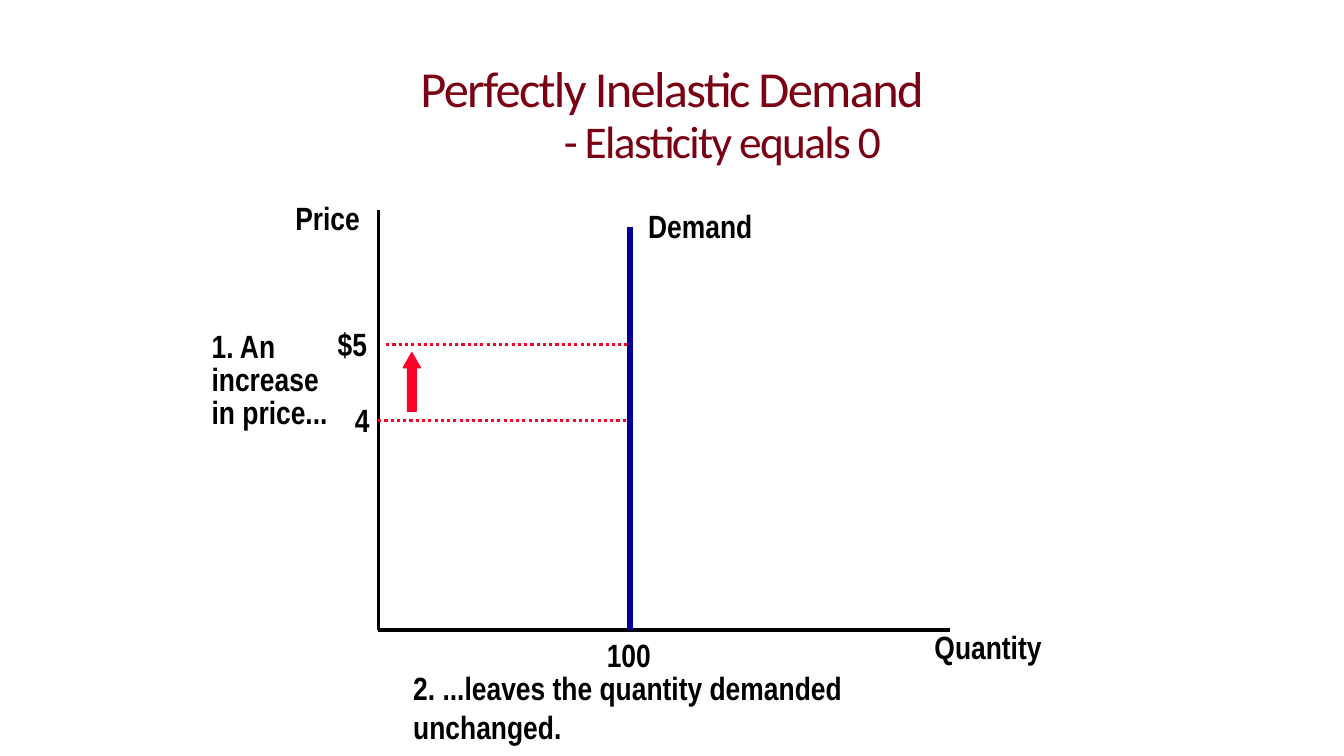
from lxml import etree
from pptx import Presentation
from pptx.dml.color import RGBColor
from pptx.enum.dml import MSO_LINE
from pptx.enum.shapes import MSO_CONNECTOR, MSO_SHAPE
from pptx.enum.text import MSO_ANCHOR, PP_ALIGN
from pptx.oxml.ns import qn
from pptx.util import Inches, Pt

BLACK = RGBColor(0x00, 0x00, 0x00)
MAROON = RGBColor(0x7A, 0x00, 0x14)
RED = RGBColor(0xFC, 0x01, 0x28)
NAVY = RGBColor(0x00, 0x00, 0x99)
STRAIGHT = MSO_CONNECTOR.STRAIGHT
DOTTED = MSO_LINE.ROUND_DOT  # stored as sysDot

# Chart geometry in inches
AXIS_X, AXIS_Y = 3.75, 6.25
DEMAND_X = 6.25

presentation = Presentation()
presentation.slide_width = Inches(13.33)
presentation.slide_height = Inches(7.5)
slide = presentation.slides.add_slide(presentation.slide_layouts[6])


def add_label(text, left, top, width, height, line_spacing=None):
    label = slide.shapes.add_textbox(
        Inches(left), Inches(top), Inches(width), Inches(height))
    frame = label.text_frame
    frame.word_wrap = False
    frame.margin_right = 0  # keeps each label on one line
    frame.text = text
    for paragraph in frame.paragraphs:
        paragraph.line_spacing = line_spacing
        for run in paragraph.runs:
            run.font.name = "Arial Narrow"
            run.font.size = Pt(23)
            run.font.bold = True
            run.font.color.rgb = BLACK
    return label


def add_line(start_x, start_y, end_x, end_y, color, weight, dash=None):
    connector = slide.shapes.add_connector(
        STRAIGHT, Inches(start_x), Inches(start_y), Inches(end_x), Inches(end_y))
    connector.line.color.rgb = color
    connector.line.width = Pt(weight)
    if dash is not None:
        connector.line.dash_style = dash
    etree.SubElement(connector.element.spPr, qn("a:effectLst"))


# Title, with a one-inch tab before the second line
title = slide.shapes.add_textbox(Inches(2), Inches(0.58), Inches(9.33), Inches(1.17))
title.text_frame.word_wrap = True
title.text_frame.vertical_anchor = MSO_ANCHOR.MIDDLE
paragraph = title.text_frame.paragraphs[0]
paragraph.text = "Perfectly Inelastic Demand\v\t"
paragraph.add_run().text = "- Elasticity equals 0"
paragraph.alignment = PP_ALIGN.CENTER
paragraph.line_spacing = 0.85
paragraph._p.get_or_add_pPr().set("defTabSz", str(Inches(1)))
for run, size in zip(paragraph.runs, (36, 36, 32.4)):
    run.font.name = "Calibri"
    run.font.size = Pt(size)
    run.font.color.rgb = MAROON
    run.font._element.set("spc", "-120")

# Axes
add_line(AXIS_X, 2.08, AXIS_X, AXIS_Y, BLACK, 2.25)
add_line(AXIS_X, AXIS_Y, 9.42, AXIS_Y, BLACK, 2.25)
add_label("Quantity", 9.17, 6.17, 1.26, 0.48)
add_label("Price", 2.83, 1.92, 0.85, 0.48)

# Price levels
for text, left, width, line_start, price_y in (
        ("4", 3.42, 0.35, AXIS_X, 4.17), ("$5", 3.25, 0.49, 3.83, 3.42)):
    add_label(text, left, price_y - 0.25, width, 0.48)
    add_line(line_start, price_y, DEMAND_X, price_y, RED, 2.25, DOTTED)

# Demand curve
add_label("Demand", 6.33, 2, 1.23, 0.48)
add_line(DEMAND_X, AXIS_Y, DEMAND_X, 2.25, NAVY, 4.5)
add_label("100", 5.92, AXIS_Y, 0.64, 0.48)

# Explanations
outcome = add_label("2. ...leaves the quantity demanded unchanged.", 4, 6.58, 6, 0.48)
outcome.text_frame.word_wrap = True
outcome.text_frame.margin_right = Inches(0.4)
add_label("1. An\nincrease\nin price...", 2, 3.25, 1.35, 1.08, line_spacing=0.85)

# Price increase arrow
arrow = slide.shapes.add_shape(
    MSO_SHAPE.UP_ARROW, Inches(4), Inches(3.5), Inches(0.17), Inches(0.58))
arrow.adjustments[0] = 0.5
arrow.adjustments[1] = 0.875
arrow.shadow.inherit = False
arrow.fill.solid()
arrow.fill.fore_color.rgb = RED
arrow.line.color.rgb = RED
arrow.line.width = Pt(1)

presentation.save("out.pptx")
